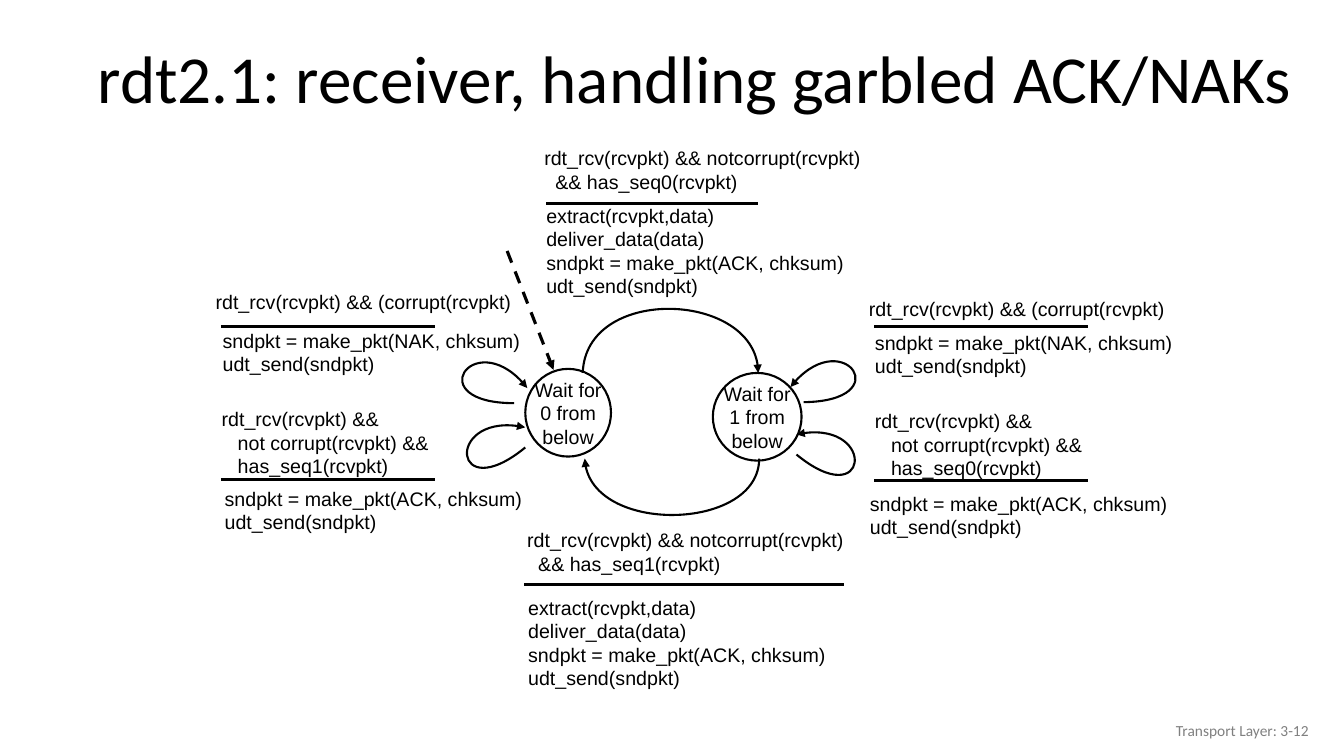
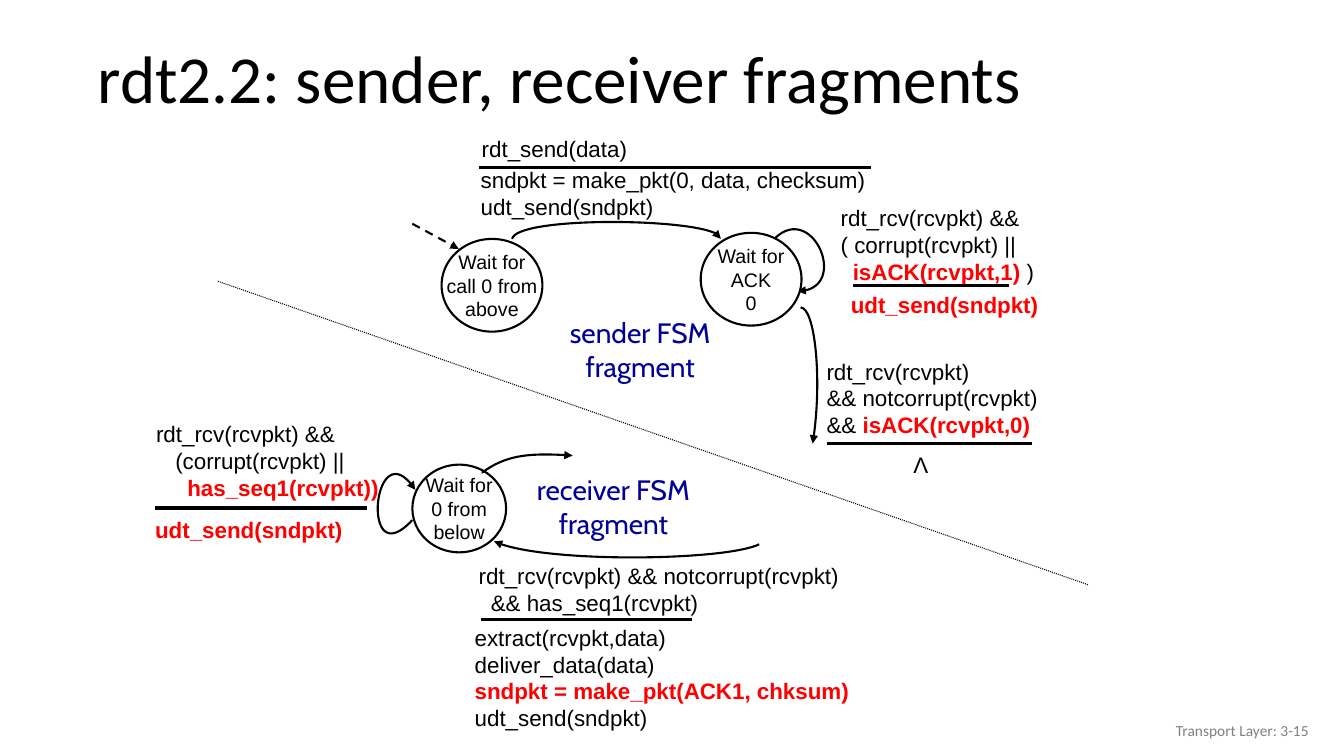
from lxml import etree
from pptx import Presentation, util as u
from pptx.dml.color import RGBColor
from pptx.enum import dml, shapes, text
from pptx.oxml.ns import qn

BLACK, WHITE, RED, BLUE, GREY = "000000", "FFFFFF", "FF0000", "000099", "808080"
SMALL, LARGE = 14, 16
ALIGN = text.PP_ALIGN
ANCHOR = text.MSO_ANCHOR
DASH = dml.MSO_LINE


def rgb(color):
    return RGBColor.from_string(color)


def write(tf, lines, size=SMALL, font="Arial", color=BLACK, align=ALIGN.LEFT,
          anchor=ANCHOR.TOP, wrap=True, spacing=None):
    """Fill a frame; a line is a string or (indent, string), *...* is bold red."""
    tf.word_wrap = wrap
    tf.vertical_anchor = anchor
    for i, line in enumerate(lines):
        indent, words = line if isinstance(line, tuple) else (0, line)
        p = tf.paragraphs[0] if i == 0 else tf.add_paragraph()
        p.alignment = align
        if spacing:
            p.line_spacing = spacing
        if indent:
            p._p.get_or_add_pPr().set("marL", str(u.Inches(indent)))
        for j, part in enumerate(words.split("*")):
            if part:
                marked = j % 2 == 1
                r = p.add_run()
                r.text = part
                r.font.name, r.font.size = font, u.Pt(size)
                r.font.bold = marked
                r.font.color.rgb = rgb(RED if marked else color)


def text_box(s, x, y, w, h, lines, **fmt):
    sp = s.shapes.add_textbox(*map(u.Inches, (x, y, w, h)))
    write(sp.text_frame, lines, **fmt)


def style_line(sp, width, dash=None, arrow=False):
    sp.line.color.rgb = rgb(BLACK)
    sp.line.width = u.Pt(width)
    if dash:
        sp.line.dash_style = dash
    if arrow:
        ln = sp.element.spPr.find(qn("a:ln"))
        etree.SubElement(ln, qn("a:tailEnd"), type="triangle")


def straight(s, start, end, width=2.25, dash=None, arrow=False):
    sp = s.shapes.add_connector(shapes.MSO_CONNECTOR.STRAIGHT,
                                *map(u.Inches, (*start, *end)))
    style_line(sp, width, dash, arrow)
    etree.SubElement(sp.element.spPr, qn("a:effectLst"))


def curve(s, start, *points):
    """Draw a cubic curve through two control points to an arrowhead."""
    builder = s.shapes.build_freeform(*map(u.Inches, start))
    builder.add_line_segments([tuple(map(u.Inches, pt)) for pt in points],
                              close=False)
    sp = builder.convert_to_shape()
    for outline in sp.element.iter(qn("a:path")):
        segments = outline.findall(qn("a:lnTo"))
        bezier = etree.SubElement(outline, qn("a:cubicBezTo"))
        for segment in segments:
            bezier.append(segment[0])
            outline.remove(segment)
    sp.fill.background()
    sp.shadow.inherit = False
    style_line(sp, 1.5, arrow=True)


def state(s, x, y, w, h, lines):
    sp = s.shapes.add_shape(shapes.MSO_SHAPE.OVAL, *map(u.Inches, (x, y, w, h)))
    sp.shadow.inherit = False
    sp.fill.solid()
    sp.fill.fore_color.rgb = rgb(WHITE)
    style_line(sp, 1.5)
    write(sp.text_frame, lines, align=ALIGN.CENTER, anchor=ANCHOR.MIDDLE,
          wrap=False)


def transition(s, event_at, event, rule, action_at, action, size=SMALL):
    """Write an event above a rule (left, right, y) and its actions below."""
    left, right, y = rule
    for at, lines in ((event_at, event), (action_at, action)):
        text_box(s, *at, 4.3, 0.3 * len(lines), lines, size=size)
    straight(s, (left, y), (right, y))


def caption(s, x, y, w, lines):
    text_box(s, x, y, w, 0.77, lines, size=20, font="Cabin", color=BLUE,
             align=ALIGN.CENTER, wrap=False)


def new_slide(prs, title, number):
    s = prs.slides.add_slide(prs.slide_layouts[6])
    text_box(s, 0.87, 0.32, 12.14, 0.98, [title], size=48, font="Calibri",
             anchor=ANCHOR.MIDDLE, spacing=0.9)
    text_box(s, 10.08, 7.05, 3, 0.4, [f"Transport Layer: {number}"], size=11,
             font="Calibri", color=GREY, align=ALIGN.RIGHT,
             anchor=ANCHOR.MIDDLE)
    return s


def received_in_order(seq, indent):
    return ["rdt_rcv(rcvpkt) && notcorrupt(rcvpkt)",
            (indent, f"&& has_seq{seq}(rcvpkt)")]


def reply(kind):
    return [f"sndpkt = make_pkt({kind}, chksum)", "udt_send(sndpkt)"]


def receiver_slide(prs):
    s = new_slide(prs, "rdt2.1: receiver, handling garbled ACK/NAKs", "3-12")
    state(s, 5.21, 3.66, 0.85, 0.87, ["Wait for", "0 from", "below"])
    state(s, 7.07, 3.7, 0.88, 0.87, ["Wait for", "1 from", "below"])
    straight(s, (5.03, 2.49), (5.49, 3.67), dash=DASH.DASH, arrow=True)

    curve(s, (5.78, 3.7), (5.81, 2.84), (7.52, 2.89), (7.52, 3.7))
    curve(s, (7.53, 4.55), (7.53, 5.26), (5.83, 5.31), (5.8, 4.55))
    curve(s, (7.97, 3.99), (8.9, 3.98), (8.35, 3.19), (7.84, 3.84))
    curve(s, (7.9, 4.51), (8.62, 5.1), (8.7, 4.14), (7.9, 4.31))
    curve(s, (5.21, 4.44), (4.49, 5.03), (4.41, 4.07), (5.21, 4.24))
    curve(s, (5.1, 4), (4.17, 4), (4.72, 3.2), (5.23, 3.85))

    deliver = ["extract(rcvpkt,data)", "deliver_data(data)", *reply("ACK")]
    transition(s, (5.3, 1.4), received_in_order(0, 0.11), (5.42, 7.52, 2.02),
               (5.32, 1.97), deliver)
    transition(s, (5.13, 5.19), received_in_order(1, 0.11), (5.2, 8.37, 5.8),
               (5.14, 5.86), deliver)

    corrupt = ["rdt_rcv(rcvpkt) && (corrupt(rcvpkt)"]
    transition(s, (2.04, 2.83), corrupt, (2.19, 4.31, 3.24),
               (2.11, 3.21), reply("NAK"))
    transition(s, (8.52, 2.9), corrupt, (8.67, 10.79, 3.24),
               (8.58, 3.23), reply("NAK"))

    def duplicate(seq):
        return ["rdt_rcv(rcvpkt) &&", (0.16, "not corrupt(rcvpkt) &&"),
                (0.16, f"has_seq{seq}(rcvpkt)")]

    transition(s, (2.1, 3.99), duplicate(1), (2.19, 4.31, 4.76),
               (2.13, 4.78), reply("ACK"))
    transition(s, (8.58, 4.01), duplicate(0), (8.67, 10.79, 4.77),
               (8.53, 4.83), reply("ACK"))


def sender_fragment(s):
    state(s, 4.38, 2.37, 1, 0.92, ["Wait for", "call 0 from", "above"])
    straight(s, (4.09, 2.22), (4.55, 2.47), 1.5, DASH.DASH, arrow=True)
    curve(s, (5.08, 2.37), (5.12, 2.15), (7.15, 2.16), (7.15, 2.37))
    curve(s, (7.69, 2.36), (8.05, 2.02), (8.44, 2.88), (7.91, 2.89))
    curve(s, (7.94, 3.05), (8.08, 3.05), (8.16, 3.79), (8.06, 4.4))
    state(s, 6.95, 2.31, 1, 0.92, ["Wait for", "ACK", "0"])

    transition(s, (4.68, 1.29), ["rdt_send(data)"], (4.75, 8.64, 1.66),
               (4.67, 1.6),
               ["sndpkt = make_pkt(0, data, checksum)", "udt_send(sndpkt)"],
               LARGE)
    transition(s, (8.24, 1.98),
               ["rdt_rcv(rcvpkt) &&", "( corrupt(rcvpkt) ||",
                (0.12, "*isACK(rcvpkt,1)* )")],
               (8.46, 10.01, 2.83), (8.34, 2.84), ["*udt_send(sndpkt)*"], LARGE)
    transition(s, (8.1, 3.5),
               ["rdt_rcv(rcvpkt)", "&& notcorrupt(rcvpkt)",
                "&& *isACK(rcvpkt,0)*"],
               (8.2, 10.24, 4.4), (8.96, 4.43), ["Λ"], LARGE)
    caption(s, 5.54, 3.08, 1.62, ["sender FSM", "fragment"])


def receiver_fragment(s):
    state(s, 4.09, 4.61, 0.93, 0.87, ["Wait for", "0 from", "below"])
    curve(s, (4.78, 4.69), (5.01, 4.52), (5.26, 4.49), (5.68, 4.52))
    curve(s, (7.53, 5.4), (7.2, 5.56), (5.36, 5.59), (4.9, 5.37))
    curve(s, (4.09, 5.16), (3.58, 5.71), (3.7, 4.23), (4.12, 4.86))

    transition(s, (4.65, 5.53), received_in_order(1, 0.12), (4.77, 6.86, 6.15),
               (4.61, 6.14),
               ["extract(rcvpkt,data)", "deliver_data(data)",
                "*sndpkt = make_pkt(ACK1, chksum)*", "udt_send(sndpkt)"], LARGE)
    transition(s, (1.45, 4.12),
               ["rdt_rcv(rcvpkt) &&", (0.19, "(corrupt(rcvpkt) ||"),
                (0.31, "*has_seq1(rcvpkt))*")],
               (1.54, 3.64, 5.04), (1.44, 5.07), ["*udt_send(sndpkt)*"], LARGE)
    caption(s, 5.2, 4.64, 1.77, ["receiver FSM", "fragment"])


def fragments_slide(prs):
    s = new_slide(prs, "rdt2.2: sender, receiver fragments", "3-15")
    sender_fragment(s)
    straight(s, (2.16, 2.79), (10.79, 5.8), 0.75, DASH.ROUND_DOT)
    receiver_fragment(s)


def main():
    prs = Presentation()
    prs.slide_width, prs.slide_height = u.Inches(13.33), u.Inches(7.5)
    receiver_slide(prs)
    fragments_slide(prs)
    prs.save("out.pptx")


if __name__ == "__main__":
    main()
